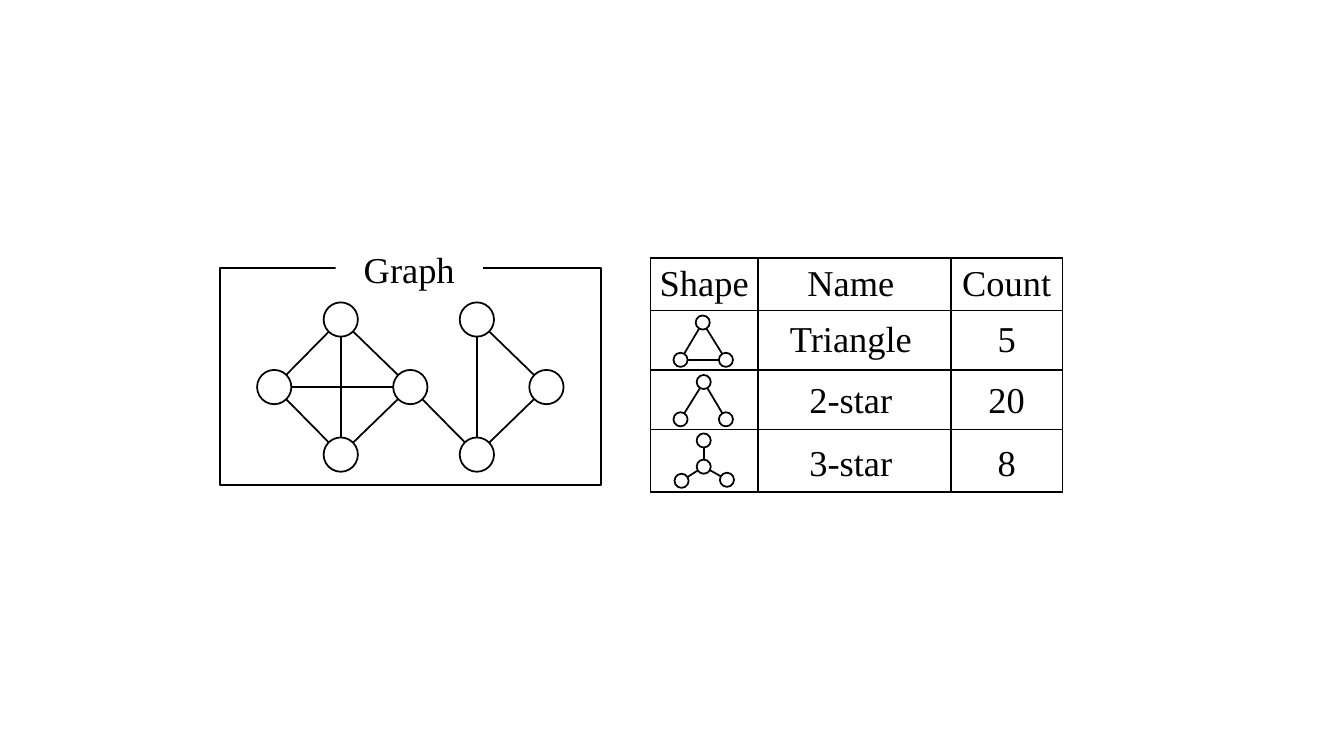
import math
from dataclasses import dataclass

from lxml import etree
from pptx import Presentation
from pptx import util as u
from pptx.dml.color import RGBColor
from pptx.enum import shapes, text
from pptx.oxml import ns

PX = 9144
BLACK = RGBColor(0, 0, 0)
WHITE = RGBColor(255, 255, 255)
FONT = "Times New Roman"
TEXT_SIZE = u.Pt(26)
STROKE = u.Pt(1.25)


@dataclass(frozen=True)
class Network:
    radius: int
    nodes: tuple
    edges: tuple
    fill: RGBColor | None = None


@dataclass(frozen=True)
class Column:
    width: int
    right_inset: int
    entries: tuple


@dataclass(frozen=True)
class Row:
    height: int
    top_inset: int


GRAPH = Network(
    17,
    ((338, 317), (272, 384), (338, 451), (407, 384), (473, 317), (473, 451), (542, 384)),
    ((0, 2), (1, 3), (0, 1), (1, 2), (0, 3), (2, 3), (4, 5), (3, 5), (5, 6), (4, 6)),
)
MOTIFS = (
    Network(7, ((697, 320), (675, 357), (720, 357)), ((0, 1), (0, 2), (1, 2)), WHITE),
    Network(7, ((698, 379), (675, 416), (720, 416)), ((0, 1), (0, 2)), WHITE),
    Network(7, ((698, 463), (676, 477), (721, 476), (698, 437)),
            ((0, 1), (0, 2), (0, 3)), WHITE),
)
COLUMNS = (
    Column(107, 0, ("Shape", "", "", "")),
    Column(191, 7, ("Name", "Triangle", "2-star", "3-star")),
    Column(111, 0, ("Count", "5", "20", "8")),
)
ROWS = (Row(52, 0), Row(59, 0), Row(59, 3), Row(62, 8))


def px(*lengths: float) -> list[u.Emu]:
    return [u.Emu(round(length * PX)) for length in lengths]


def style_outline(line) -> None:
    line.color.rgb = BLACK
    line.width = STROKE


def add_outlined(page, kind, bounds: tuple, fill: RGBColor | None = None):
    shape = page.shapes.add_shape(kind, *px(*bounds))
    shape.shadow.inherit = False
    if fill is None:
        shape.fill.background()
    else:
        shape.fill.solid()
        shape.fill.fore_color.rgb = fill
    style_outline(shape.line)
    return shape


def add_edge(page, start: tuple, end: tuple, radius: int) -> None:
    share = radius / math.dist(start, end)
    dx, dy = ((b - a) * share for a, b in zip(start, end))
    edge = page.shapes.add_connector(
        shapes.MSO_CONNECTOR.STRAIGHT,
        *px(start[0] + dx, start[1] + dy, end[0] - dx, end[1] - dy),
    )
    style_outline(edge.line)
    etree.SubElement(edge.element.spPr, ns.qn("a:effectLst"))


def add_network(page, network: Network) -> None:
    radius = network.radius
    for x, y in network.nodes:
        bounds = (x - radius, y - radius, 2 * radius, 2 * radius)
        add_outlined(page, shapes.MSO_SHAPE.OVAL, bounds, network.fill)
    for start, end in network.edges:
        add_edge(page, network.nodes[start], network.nodes[end], radius)


def write(frame, words: str) -> None:
    para = frame.paragraphs[0]
    para.alignment = text.PP_ALIGN.CENTER
    span = para.add_run()
    span.text = words
    span.font.name = FONT
    span.font.size = TEXT_SIZE
    span.font.color.rgb = BLACK


def add_borders(cell) -> None:
    properties = cell._tc.get_or_add_tcPr()
    for side in ("lnL", "lnR", "lnT", "lnB"):
        border = etree.SubElement(properties, ns.qn(f"a:{side}"), w=str(int(STROKE)))
        fill = etree.SubElement(border, ns.qn("a:solidFill"))
        etree.SubElement(fill, ns.qn("a:srgbClr"), val=str(BLACK))


def add_counts(page, left: int, top: int) -> None:
    width = sum(column.width for column in COLUMNS)
    height = sum(row.height for row in ROWS)
    table = page.shapes.add_table(
        len(ROWS), len(COLUMNS), *px(left, top, width, height)
    ).table
    table.first_row = False
    table.horz_banding = False
    for index, row in enumerate(ROWS):
        table.rows[index].height = px(row.height)[0]
    for across, column in enumerate(COLUMNS):
        table.columns[across].width = px(column.width)[0]
        for down, words in enumerate(column.entries):
            cell = table.cell(down, across)
            cell.margin_left = cell.margin_bottom = 0
            cell.margin_right, cell.margin_top = px(column.right_inset, ROWS[down].top_inset)
            cell.vertical_anchor = text.MSO_ANCHOR.MIDDLE
            add_borders(cell)
            cell.fill.background()
            if words:
                write(cell.text_frame, words)


def add_title(page, words: str) -> None:
    box = page.shapes.add_textbox(*px(333, 240, 146, 54))
    box.fill.solid()
    box.fill.fore_color.rgb = WHITE
    box.text_frame.word_wrap = True
    box.text_frame.vertical_anchor = text.MSO_ANCHOR.MIDDLE
    write(box.text_frame, words)


def main() -> None:
    deck = Presentation()
    deck.slide_width, deck.slide_height = u.Inches(13.33), u.Inches(7.5)
    page = deck.slides.add_slide(deck.slide_layouts[6])
    add_outlined(page, shapes.MSO_SHAPE.RECTANGLE, (218, 266, 378, 215))
    add_network(page, GRAPH)
    add_counts(page, 645, 256)
    for motif in MOTIFS:
        add_network(page, motif)
    add_title(page, "Graph")
    deck.save("out.pptx")


if __name__ == "__main__":
    main()
